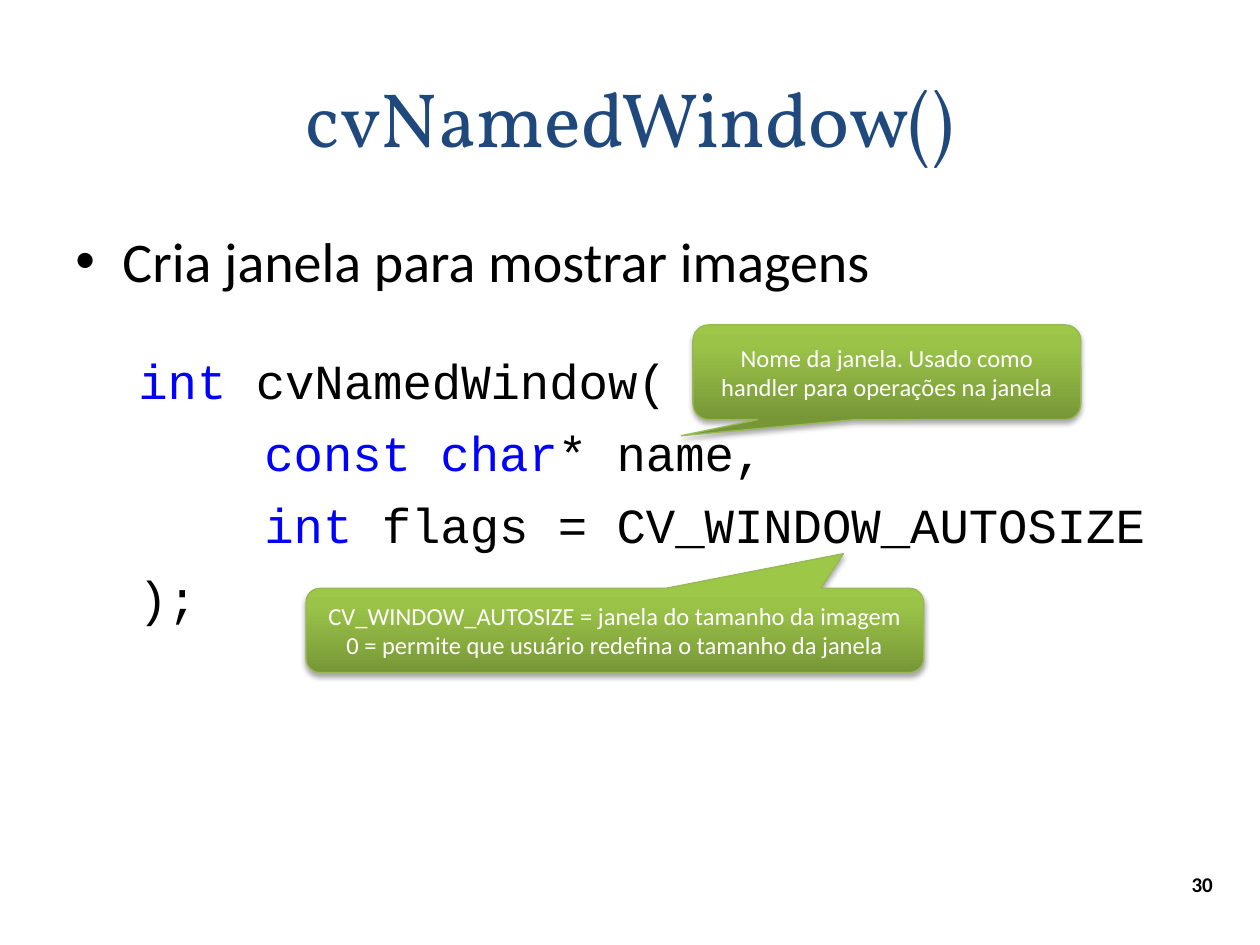
from copy import deepcopy

from lxml import etree
from pptx import Presentation
from pptx.dml.color import RGBColor
from pptx.enum.shapes import MSO_SHAPE
from pptx.enum.text import MSO_ANCHOR, PP_ALIGN
from pptx.oxml.ns import qn
from pptx.util import Cm, Pt

CALLOUT = MSO_SHAPE.ROUNDED_RECTANGULAR_CALLOUT
MIDDLE = MSO_ANCHOR.MIDDLE
CENTER, LEFT = PP_ALIGN.CENTER, PP_ALIGN.LEFT
BLACK, WHITE, NAVY, KEYWORD = "000000", "FFFFFF", "1F497D", "0000FF"
GREENS = [(0, "779737"), (0.8, "9BC348"), (1, "9DC746")]


def rgb(color):
    return RGBColor.from_string(color)


def write(p, text, size=14, font="Calibri", color=BLACK, bold=False, align=CENTER):
    p.alignment = align
    r = p.add_run()
    r.text = text
    r.font.size, r.font.name, r.font.bold = Pt(size), font, bold
    r.font.color.rgb = rgb(color)


prs = Presentation()
prs.slide_width, prs.slide_height = Cm(25.4), Cm(19.05)
s = prs.slides.add_slide(prs.slide_layouts[5])

# Title
title = s.shapes.title
title.left, title.top, title.width, title.height = Cm(1.27), Cm(0.76), Cm(22.86), Cm(3.18)
title.text_frame.vertical_anchor = MIDDLE
write(title.text_frame.paragraphs[0], "cvNamedWindow()", size=44, font="Vollkorn", color=NAVY)

# Bullet and function signature
tf = s.shapes.add_textbox(Cm(1.27), Cm(4.45), Cm(22.86), Cm(12.57)).text_frame
tf.word_wrap = True
p = tf.paragraphs[0]
write(p, "Cria janela para mostrar imagens", size=32, align=LEFT)
pPr = p._p.get_or_add_pPr()
pPr.set("marL", str(Cm(0.95)))
pPr.set("indent", str(Cm(-0.95)))
etree.SubElement(pPr, qn("a:buFont"), typeface="Arial")
etree.SubElement(pPr, qn("a:buChar"), char="•")

code_lines = [  # indent, space before, keyword, rest
    (1.27, 32, "int ", "cvNamedWindow("),
    (3.81, 7.7, "const char", "* name,"),
    (3.81, 7.7, "int ", "flags = CV_WINDOW_AUTOSIZE"),
    (1.27, 7.7, "", ");"),
]
for indent, space, keyword, rest in code_lines:
    p = tf.add_paragraph()
    p.space_before = Pt(space)
    p._p.get_or_add_pPr().set("marL", str(Cm(indent)))
    for text, color in ((keyword, KEYWORD), (rest, BLACK)):
        if text:
            write(p, text, size=28, font="Courier New", color=color, align=LEFT)

# Slide number
tf = s.shapes.add_textbox(Cm(23.7), Cm(17.32), Cm(1.07), Cm(1.02)).text_frame
tf.margin_left = tf.margin_right = 0
tf.vertical_anchor = MIDDLE
tf.word_wrap = True
write(tf.paragraphs[0], "30", size=12, bold=True)

# Parameter callouts
callouts = [  # box, tail tip, lines
    ((13.97, 6.55, 7.82, 1.91), (-0.53, 0.67),
     ["Nome da janela. Usado como handler para operações na janela"]),
    ((6.17, 11.86, 12.45, 1.7), (0.37, -0.91),
     ["CV_WINDOW_AUTOSIZE = janela do tamanho da imagem",
      "0 = permite que usuário redefina o tamanho da janela"]),
]
for box, tip, lines in callouts:
    sp = s.shapes.add_shape(CALLOUT, *map(Cm, box))
    sp.adjustments[0], sp.adjustments[1] = tip
    sp.line.color.rgb = rgb("98B955")
    sp.line.width = Pt(0.75)

    sp.fill.gradient()
    sp.fill.gradient_angle = 90
    spPr = sp._element.spPr
    stops = spPr.find(".//" + qn("a:gsLst"))
    stops.append(deepcopy(stops[0]))
    for stop, (position, color) in zip(sp.fill.gradient_stops, GREENS):
        stop.position = position
        stop.color.rgb = rgb(color)

    sp.shadow.inherit = False
    shadow = etree.SubElement(spPr.find(qn("a:effectLst")), qn("a:outerShdw"),
                              blurRad=str(Pt(3.1)), dist=str(Pt(1.8)),
                              dir="5400000", rotWithShape="0")
    shade = etree.SubElement(shadow, qn("a:srgbClr"), val=BLACK)
    etree.SubElement(shade, qn("a:alpha"), val="35000")

    tf = sp.text_frame
    tf.word_wrap = True
    tf.vertical_anchor = MIDDLE
    for i, line in enumerate(lines):
        p = tf.add_paragraph() if i else tf.paragraphs[0]
        write(p, line, color=WHITE)

prs.save("out.pptx")
